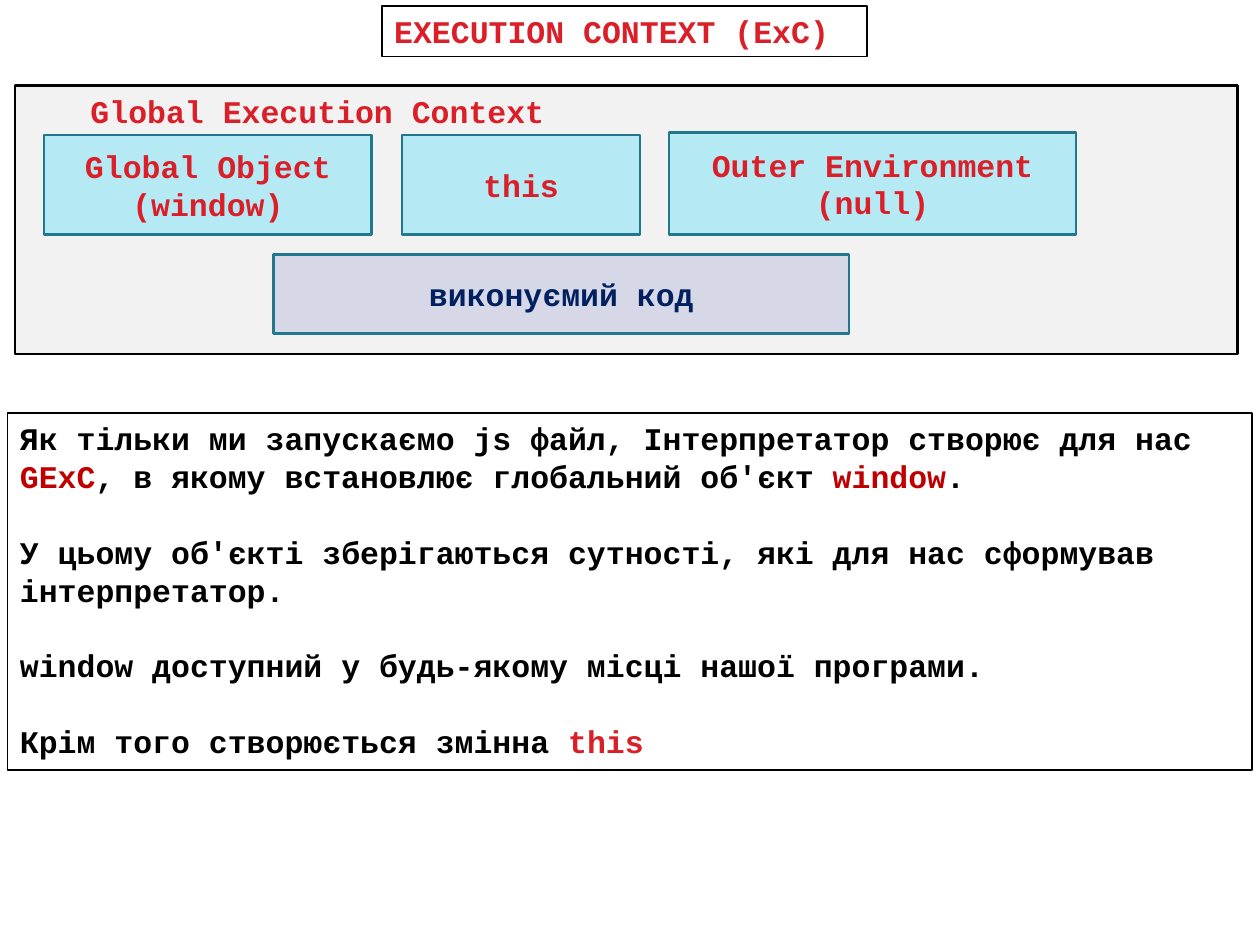
from dataclasses import dataclass
from typing import Optional

from lxml.etree import SubElement
from pptx import Presentation
from pptx.dml.color import RGBColor
from pptx.enum.shapes import MSO_SHAPE as Shape
from pptx.enum.text import MSO_ANCHOR as Anchor, MSO_AUTO_SIZE as AutoSize, PP_ALIGN as Align
from pptx.oxml.ns import qn
from pptx.util import Inches, Pt


@dataclass(frozen=True)
class Theme:
    font: str = "Courier New"
    size: float = 18
    paragraph_gap: float = 21.6
    thin: float = 1
    thick: float = 1.5
    red: str = "DA1F28"
    dark_red: str = "C00000"
    navy: str = "002060"
    black: str = "000000"
    white: str = "FFFFFF"
    grey: str = "F2F2F2"
    cyan: str = "B5E9F4"
    lilac: str = "D7D8E7"
    teal: str = "21788D"


THEME = Theme()
Run = tuple[str, str]  # text, colour


@dataclass(frozen=True)
class Box:
    left: float
    top: float
    width: float
    height: float
    paragraphs: list[list[Run]]
    fill: str
    line: str
    weight: float = THEME.thick
    opacity: Optional[int] = None
    align: Align = Align.CENTER
    anchor: Anchor = Anchor.MIDDLE
    auto_size: AutoSize = AutoSize.NONE
    indent: float = 0
    gap: float = 0


def colored(color: str, *lines: str) -> list[list[Run]]:
    return [[(line, color)] for line in lines]


def write_text(frame, box: Box) -> None:
    settings = {"word_wrap": True, "auto_size": box.auto_size, "vertical_anchor": box.anchor}
    for name, value in settings.items():
        setattr(frame, name, value)
    for index, runs in enumerate(box.paragraphs):
        paragraph = frame.add_paragraph() if index else frame.paragraphs[0]
        paragraph.alignment = box.align
        if index and box.gap:
            paragraph.space_before = Pt(box.gap)
        if box.indent:
            paragraph.level = 1
            properties = paragraph._p.get_or_add_pPr()
            properties.set("marL", str(Inches(box.indent)))
            properties.set("indent", "0")
        for text, color in runs:
            run = paragraph.add_run()
            run.text = text
            font_format = {"name": THEME.font, "size": Pt(THEME.size), "bold": True}
            for name, value in font_format.items():
                setattr(run.font, name, value)
            run.font.color.rgb = RGBColor.from_string(color)


def draw_box(shapes, box: Box) -> None:
    bounds = (Inches(v) for v in (box.left, box.top, box.width, box.height))
    rectangle = shapes.add_shape(Shape.RECTANGLE, *bounds)
    rectangle.shadow.inherit = False
    rectangle.fill.solid()
    rectangle.fill.fore_color.rgb = RGBColor.from_string(box.fill)
    if box.opacity is not None:
        color = rectangle._element.spPr.find(qn("a:solidFill")).find(qn("a:srgbClr"))
        SubElement(color, qn("a:alpha")).set("val", str(box.opacity * 1000))
    rectangle.line.color.rgb = RGBColor.from_string(box.line)
    rectangle.line.width = Pt(box.weight)
    write_text(rectangle.text_frame, box)


def text_panel(left: float, top: float, width: float, height: float,
               paragraphs: list[list[Run]], gap: float = 0) -> Box:
    return Box(left, top, width, height, paragraphs, THEME.white, THEME.black, THEME.thin,
               opacity=7, align=Align.LEFT, anchor=Anchor.TOP,
               auto_size=AutoSize.SHAPE_TO_FIT_TEXT, gap=gap)


TITLE = text_panel(3.03, 0.05, 3.85, 0.4, colored(THEME.red, "EXECUTION CONTEXT (ExC)"))

GLOBAL_CONTEXT = [
    Box(0.12, 0.68, 9.7, 2.13, colored(THEME.red, "Global Execution Context"),
        THEME.grey, THEME.black, align=Align.LEFT, anchor=Anchor.TOP, indent=0.5),
    Box(0.35, 1.07, 2.6, 0.79, colored(THEME.red, "Global Object", "(window)"),
        THEME.cyan, THEME.teal),
    Box(3.19, 1.07, 1.89, 0.79, colored(THEME.red, "this"), THEME.cyan, THEME.teal),
    Box(5.31, 1.05, 3.23, 0.81, colored(THEME.red, "Outer Environment", "(null)"),
        THEME.cyan, THEME.teal),
    Box(2.17, 2.02, 4.57, 0.63, colored(THEME.navy, "виконуємий код"),
        THEME.lilac, THEME.teal),
]

EXPLANATION = text_panel(0.06, 3.28, 9.88, 2.83, [
    [("Як тільки ми запускаємо js файл, Інтерпретатор створює для нас ", THEME.black),
     ("GExC", THEME.dark_red),
     (", в якому встановлює глобальний об'єкт ", THEME.black),
     ("window", THEME.dark_red),
     (".", THEME.black)],
    *colored(THEME.black,
             "У цьому об'єкті зберігаються сутності, які для нас сформував інтерпретатор.",
             "window доступний у будь-якому місці нашої програми."),
    [("Крім того створюється змінна ", THEME.black), ("this", THEME.red)],
], gap=THEME.paragraph_gap)


def main() -> None:
    deck = Presentation()
    deck.slide_width, deck.slide_height = Inches(10), Inches(7.5)
    slide = deck.slides.add_slide(deck.slide_layouts[6])

    # Title
    draw_box(slide.shapes, TITLE)

    # Global execution context and its parts
    context_group = slide.shapes.add_group_shape()
    for box in GLOBAL_CONTEXT:
        draw_box(context_group.shapes, box)

    # Explanation
    draw_box(slide.shapes, EXPLANATION)

    deck.save("out.pptx")


if __name__ == "__main__":
    main()
